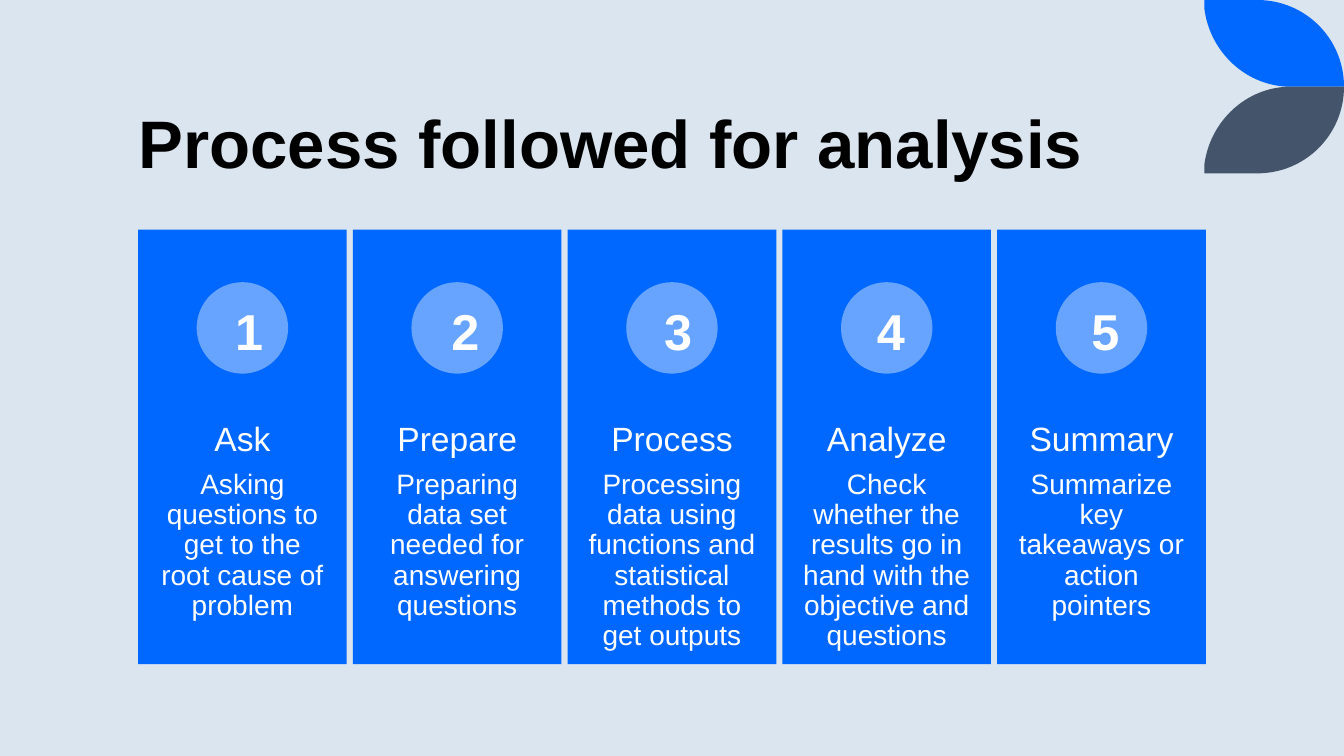
from dataclasses import dataclass

from lxml.etree import SubElement as Sub
from pptx import Presentation
from pptx.dml.color import RGBColor as Rgb
from pptx.enum.shapes import MSO_SHAPE as Kind
from pptx.enum.text import MSO_ANCHOR as Anchor, MSO_AUTO_SIZE as Fit, PP_ALIGN as Align
from pptx.oxml.ns import qn
from pptx.util import Inches, Pt

HUES = {"back": "DAE5EF", "blue": "0068FF", "slate": "44546A",
        "disc": "66A4FF", "white": "FFFFFF", "black": "000000"}
FONT = "Arial"

# Cards, in percent of the slide's width (x) and height (y)
LEFT, PITCH, WIDE = 10.27, 15.98, 15.53
TOP, TALL = 30.38, 57.47
DISC_W, DISC_H = 6.8, 12.09

# Leaf outline in shares of its box: a line, a curve, a line, a curve
LEAF = [(0, 0), (.38, 0), (.72, 0), (1, .44), (1, 1),
        (.62, 1), (.3, 1), (.04, .6), (0, .1)]


@dataclass
class Step:
    """One card: heading, detail and the digit's offset from the card's left."""
    head: str
    text: str
    lead: float


STEPS = [
    Step("Ask", "Asking questions to get to the root cause of problem", 6.48),
    Step("Prepare", "Preparing data set needed for answering questions", 6.6),
    Step("Process", "Processing data using functions and statistical methods to get outputs", 6.45),
    Step("Analyze", "Check whether the results go in hand with the objective and questions", 6.29),
    Step("Summary", "Summarize key takeaways or action pointers", 6.27),
]

deck = Presentation()
deck.slide_width, deck.slide_height = Inches(13.333), Inches(7.5)
slide = deck.slides.add_slide(deck.slide_layouts[5])
shapes = slide.shapes


def px(share: float) -> int:
    """Turn a percentage of the width into a length."""
    return round(deck.slide_width * share / 100)


def py(share: float) -> int:
    """Turn a percentage of the height into a length."""
    return round(deck.slide_height * share / 100)


def area(x: float, y: float, w: float, h: float) -> tuple:
    """Turn four percentages into a left, top, width and height."""
    return px(x), py(y), px(w), py(h)


def paint(shape, hue: str) -> None:
    """Give a shape a flat fill with no line or shadow."""
    shape.shadow.inherit = False
    shape.fill.solid()
    shape.fill.fore_color.rgb = Rgb.from_string(HUES[hue])
    shape.line.fill.background()


def style(para, size: int, hue: str, bold: bool = False, align=Align.CENTER) -> None:
    """Format a paragraph and its runs."""
    para.alignment = align
    for run in para.runs:
        run.font.name, run.font.size, run.font.bold = FONT, Pt(size), bold
        run.font.color.rgb = Rgb.from_string(HUES[hue])


def bend(lines: list) -> None:
    """Merge three line segments into one cubic curve."""
    cubic = lines[0].makeelement(qn("a:cubicBezTo"))
    lines[0].addprevious(cubic)
    for line in lines:
        Sub(cubic, qn("a:pt"), dict(line[0].attrib))
        line.getparent().remove(line)


def leaf(hue: str, start: float, rise: float) -> None:
    """Draw a corner leaf from its tip at start, up or down by rise."""
    spots = [(px(89.61 + 10.39 * x), py(start + rise * y)) for x, y in LEAF]
    pen = shapes.build_freeform(*spots[0])
    pen.add_line_segments(spots[1:], close=True)
    shape = pen.convert_to_shape()
    lines = list(shape.element.iter(qn("a:lnTo")))
    bend(lines[1:4])
    bend(lines[5:8])
    paint(shape, hue)


def card(step: Step, x: float) -> None:
    """Draw a card with its heading, detail and disc."""
    paint(shapes.add_shape(Kind.RECTANGLE, *area(x, TOP, WIDE, TALL)), "blue")
    frame = shapes.add_textbox(*area(x, 53.33, WIDE, 22.93)).text_frame
    frame.word_wrap = True
    frame.margin_left = frame.margin_right = Inches(0.19)
    frame.margin_top = frame.margin_bottom = Inches(0.19)
    frame.text = f"{step.head}\n{step.text}"
    for para, size, gap in zip(frame.paragraphs, (24, 20), (8.4, 3)):
        style(para, size, "white")
        para.line_spacing, para.space_after = 0.9, Pt(gap)
    mid = x + (WIDE - DISC_W) / 2
    paint(shapes.add_shape(Kind.OVAL, *area(mid, 37.33, DISC_W, DISC_H)), "disc")


def digit(num: int, x: float) -> None:
    """Write a step's number over its disc."""
    frame = shapes.add_textbox(*area(x, 39.07, 2.85, 9.47)).text_frame
    frame.word_wrap = True
    frame.auto_size = Fit.SHAPE_TO_FIT_TEXT
    frame.text = str(num)
    style(frame.paragraphs[0], 36, "white", bold=True)


def title(text: str) -> None:
    """Place and format the slide's title."""
    box = shapes.title
    box.left, box.top, box.width, box.height = area(9.56, 5.6, 80.18, 19.33)
    frame = box.text_frame
    frame.text = text
    frame.word_wrap = True
    frame.auto_size = Fit.NONE
    frame.vertical_anchor = Anchor.BOTTOM
    style(frame.paragraphs[0], 48, "black", bold=True, align=Align.LEFT)
    frame.paragraphs[0].line_spacing = 0.9


slide.background.fill.solid()
slide.background.fill.fore_color.rgb = Rgb.from_string(HUES["back"])
leaf("blue", 0, 11.47)
leaf("slate", 22.93, -11.47)
title("Process followed for analysis")
for n, step in enumerate(STEPS):
    card(step, LEFT + n * PITCH)
for n, step in enumerate(STEPS):
    digit(n + 1, LEFT + n * PITCH + step.lead)

deck.save("out.pptx")
